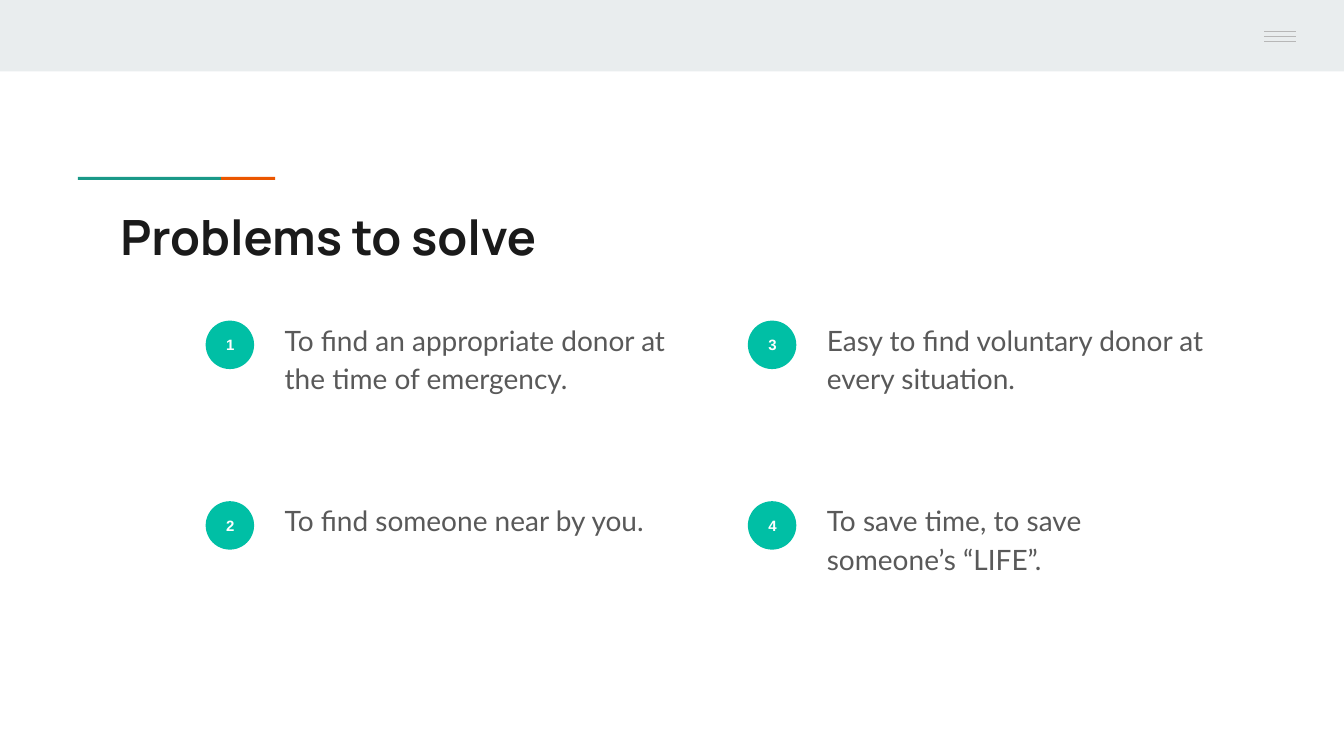
from lxml.etree import SubElement
from pptx import Presentation
from pptx.dml.color import RGBColor
from pptx.enum.shapes import MSO_CONNECTOR, MSO_SHAPE
from pptx.enum.text import MSO_ANCHOR, MSO_AUTO_SIZE, PP_ALIGN
from pptx.oxml.ns import qn
from pptx.util import Pt


def add_filled_shape(kind, left, top, width, height, color):
    shape = page.shapes.add_shape(kind, Pt(left), Pt(top), Pt(width), Pt(height))
    shape.shadow.inherit = False
    shape.fill.solid()
    shape.fill.fore_color.rgb = RGBColor.from_string(color)
    shape.line.fill.background()
    return shape


def write_text(box, text, font, size, color, bold, align, anchor):
    """Fill the box with one unbulleted paragraph and return that paragraph."""
    frame = box.text_frame
    frame.word_wrap = True
    frame.auto_size = MSO_AUTO_SIZE.NONE
    frame.vertical_anchor = anchor
    frame.margin_left = frame.margin_right = Pt(9.6)
    frame.margin_top = frame.margin_bottom = Pt(9.6)
    para = frame.paragraphs[0]
    properties = para._p.get_or_add_pPr()
    properties.set("marL", "0")
    properties.set("indent", "0")
    SubElement(properties, qn("a:buNone"))
    para.alignment = align
    para.space_before = Pt(0)
    span = para.add_run()
    span.text = text
    span.font.name = font
    span.font.size = Pt(size)
    span.font.bold = bold
    span.font.color.rgb = RGBColor.from_string(color)
    return para


deck = Presentation()
deck.slide_width, deck.slide_height = Pt(960), Pt(540)
# The Comparison layout offers a title and four text placeholders
page = deck.slides.add_slide(deck.slide_layouts.get_by_name("Comparison"))

# Header band with menu icon
add_filled_shape(MSO_SHAPE.RECTANGLE, 0, 0, 960, 51, "E9EDEE")
add_filled_shape(MSO_SHAPE.RECTANGLE, 869, 0, 91, 47.5, "E9EDEE")
for index in range(3):
    y = Pt(22.6 + 3.5 * index)
    menu_line = page.shapes.add_connector(MSO_CONNECTOR.STRAIGHT, Pt(903), y, Pt(925.5), y)
    menu_line.line.color.rgb = RGBColor.from_string("B7B7B7")
    menu_line.line.width = Pt(0.75)
    SubElement(menu_line._element.spPr, qn("a:effectLst"))

# Two-colour accent above the title
add_filled_shape(MSO_SHAPE.RECTANGLE, 55.7, 126.4, 102.2, 2.2, "1A9988")
add_filled_shape(MSO_SHAPE.RECTANGLE, 157.9, 126.4, 38.6, 2.2, "EB5600")

title = page.shapes.title
title.left, title.top, title.width, title.height = Pt(76.3), Pt(138.2), Pt(807), Pt(56.2)
write_text(title, "Problems to solve", "Manrope", 34.7, "1A1A1A", True,
           PP_ALIGN.LEFT, MSO_ANCHOR.TOP)

# Numbered problems, filled down each column in turn
problems = [
    "To find an appropriate donor at the time of emergency.",
    "To find someone near by you.",
    "Easy to find voluntary donor at every situation.",
    "To save time, to save someone’s “LIFE”.",
]
for index, problem in enumerate(problems):
    column, row = divmod(index, 2)
    x, y = 146.9 + 387.3 * column, 229 + 129 * row
    badge = add_filled_shape(MSO_SHAPE.OVAL, x, y, 34.6, 34.6, "00BFA5")
    write_text(badge, str(index + 1), "Arial", 10.7, "FFFFFF", True,
               PP_ALIGN.CENTER, MSO_ANCHOR.MIDDLE)

    box = page.placeholders[index + 1]
    box.left, box.top, box.width, box.height = Pt(x + 46.8), Pt(y - 11.4), Pt(297.4), Pt(110.2)
    para = write_text(box, problem, "Lato", 20, "595959", False,
                      PP_ALIGN.LEFT, MSO_ANCHOR.TOP)
    para.line_spacing = 1.15
    para.space_after = Pt(21.3)

deck.save("out.pptx")
